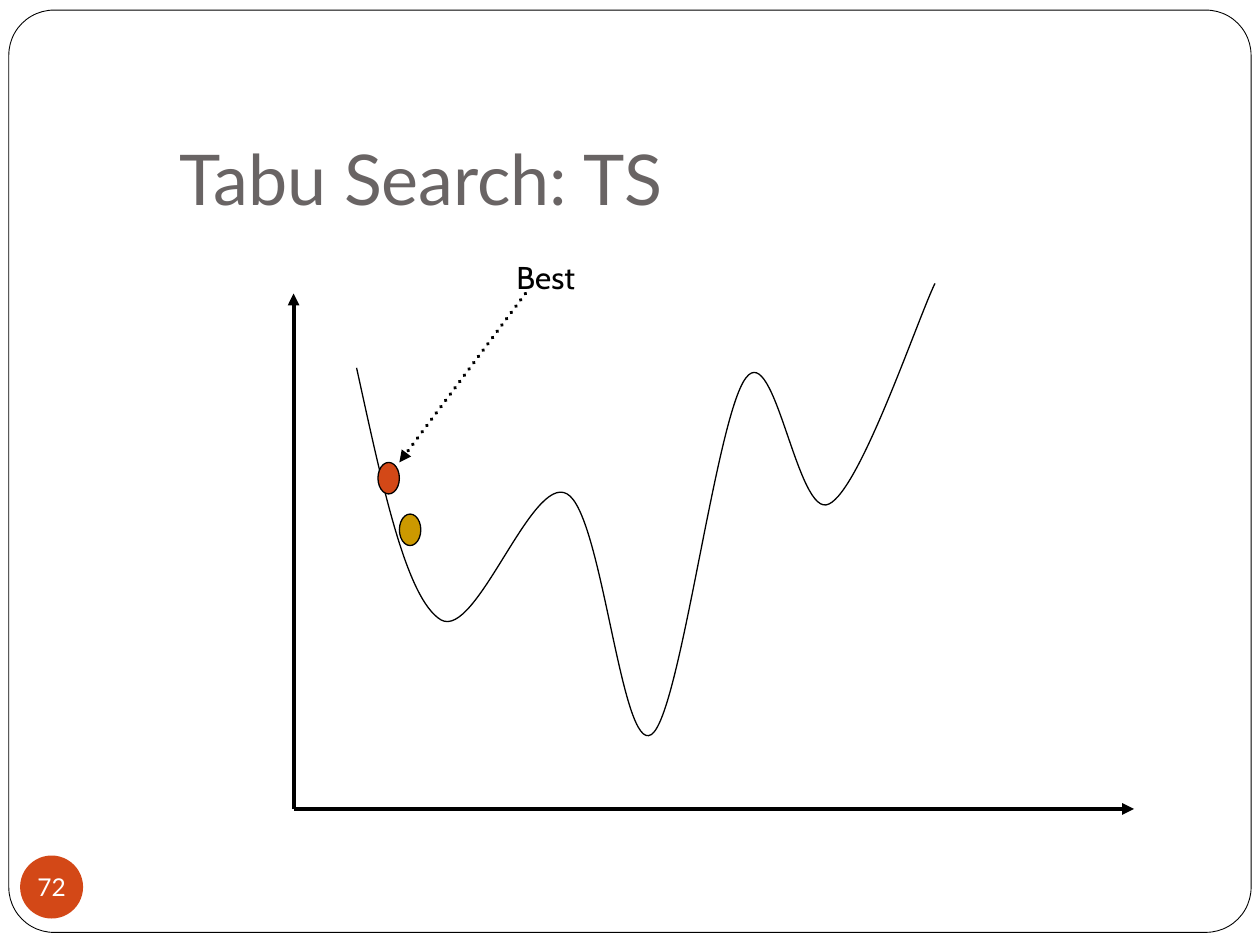
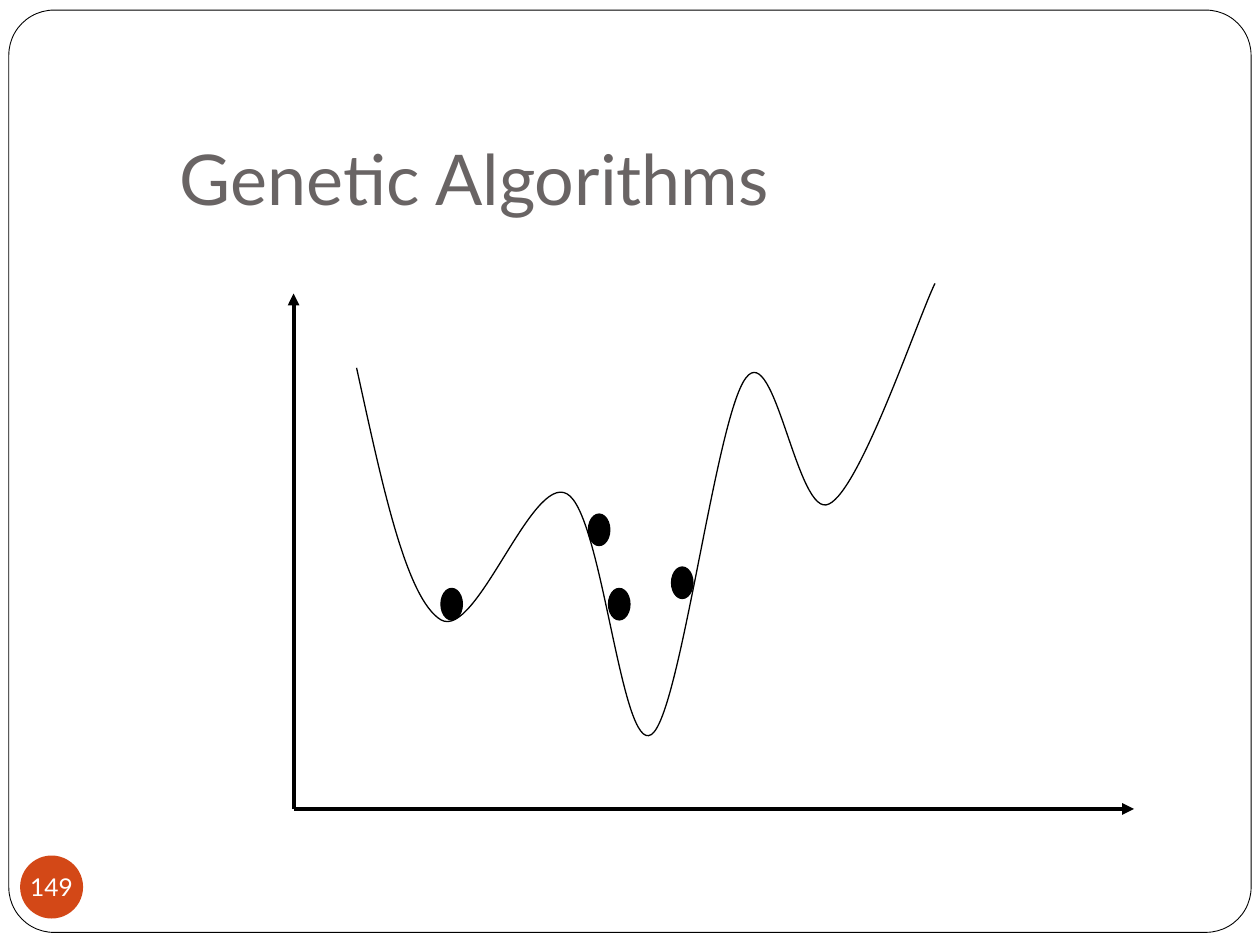
import dataclasses

import lxml.etree
import pptx
import pptx.dml.color
import pptx.enum.dml
import pptx.enum.shapes
import pptx.enum.text
import pptx.oxml.ns
import pptx.util

Inches = pptx.util.Inches
Shapes = pptx.enum.shapes.MSO_SHAPE
Anchor = pptx.enum.text.MSO_ANCHOR
Align = pptx.enum.text.PP_ALIGN
qn = pptx.oxml.ns.qn


@dataclasses.dataclass(frozen=True)
class Theme:
    paper: str = "FFFFFF"
    ink: str = "000000"
    title: str = "696464"
    accent: str = "D34817"
    neighbour: str = "CC9900"
    heading_font: str = "Lato"
    label_font: str = "Cabin"
    title_size: float = 40
    label_size: float = 18
    number_size: float = 14
    frame_line: float = 0.5
    thin_line: float = 0.75
    thick_line: float = 2.25


@dataclasses.dataclass(frozen=True)
class Box:
    left: float
    top: float
    width: float
    height: float

    def inside(self, left, top, width, height):
        return Box(self.left + left, self.top + top, width, height)

    def point(self, across, down):
        return Inches(self.left + across), Inches(self.top + down)

    def lengths(self):
        return [Inches(value) for value in dataclasses.astuple(self)]


THEME = Theme()
PAGE = Box(0, 0, 10, 7.5)
FRAME = PAGE.inside(0.07, 0.08, 9.86, 7.32)
TITLE = PAGE.inside(1.33, 0.94, 8.52, 0.9)
BADGE = PAGE.inside(0.16, 6.79, 0.5, 0.5)
PLOT = PAGE.inside(2.33, 2, 6.67, 4.42)

AXIS_TOP = 0.33
DOT_SIZE = (0.17, 0.25)
CURVE_START = (0.5, 0.92)
CURVE_CONTROLS = [
    (0.7, 1.83), (0.89, 2.75), (1.17, 2.92),
    (1.45, 3.08), (1.89, 1.76), (2.17, 1.92),
    (2.45, 2.07), (2.6, 3.99), (2.84, 3.83),
    (3.07, 3.68), (3.35, 1.31), (3.59, 1),
    (3.82, 0.69), (4, 2.13), (4.25, 2),
    (4.5, 1.88), (4.95, 0.54), (5.09, 0.25),
]
POPULATION = [(2.34, 2.08), (1.17, 2.67), (2.5, 2.67), (3, 2.5)]


def colour(value):
    return pptx.dml.color.RGBColor.from_string(value)


def set_line(line, width):
    line.color.rgb = colour(THEME.ink)
    line.width = pptx.util.Pt(width)


def add_filled_shape(page, kind, box, fill, line_width=None):
    shape = page.shapes.add_shape(kind, *box.lengths())
    shape.shadow.inherit = False
    shape.fill.solid()
    shape.fill.fore_color.rgb = colour(fill)
    if line_width is None:
        shape.line.fill.background()
    else:
        set_line(shape.line, line_width)
    return shape


def write(frame, text, font, size, text_colour, anchor=Anchor.TOP, align=Align.LEFT):
    frame.vertical_anchor = anchor
    para = frame.paragraphs[0]
    para.alignment = align
    span = para.add_run()
    span.text = text
    span.font.name = font
    span.font.size = pptx.util.Pt(size)
    span.font.color.rgb = colour(text_colour)


def add_text_box(page, box, bottom_inset):
    frame = page.shapes.add_textbox(*box.lengths()).text_frame
    frame.word_wrap = True
    frame.margin_bottom = Inches(bottom_inset)
    return frame


def add_arrow(page, start, end, dotted=False):
    straight = pptx.enum.shapes.MSO_CONNECTOR.STRAIGHT
    arrow = page.shapes.add_connector(straight, *start, *end)
    set_line(arrow.line, THEME.thick_line)
    outline = arrow._element.spPr.find(qn("a:ln"))
    if dotted:
        arrow.line.dash_style = pptx.enum.dml.MSO_LINE.ROUND_DOT
        outline.set("cap", "rnd")
    lxml.etree.SubElement(outline, qn("a:tailEnd")).set("type", "triangle")
    lxml.etree.SubElement(arrow._element.spPr, qn("a:effectLst"))


def add_frame(page, box):
    frame = add_filled_shape(page, Shapes.ROUNDED_RECTANGLE, box, THEME.paper, THEME.frame_line)
    frame.adjustments[0] = 0.049


def add_title(page, box, text):
    frame = add_text_box(page, box, 0.1)
    write(frame, text, THEME.heading_font, THEME.title_size, THEME.title, Anchor.BOTTOM)


def add_page_number(page, box, number):
    frame = add_filled_shape(page, Shapes.OVAL, box, THEME.accent).text_frame
    frame.margin_left = frame.margin_right = frame.margin_top = frame.margin_bottom = 0
    frame.word_wrap = False
    write(frame, str(number), THEME.heading_font, THEME.number_size, THEME.paper,
          Anchor.MIDDLE, Align.CENTER)


def bend_segments(shape):
    segments = list(shape._element.iter(qn("a:lnTo")))
    for first in range(0, len(segments), 3):
        bend = lxml.etree.Element(qn("a:cubicBezTo"))
        segments[first].addprevious(bend)
        for segment in segments[first:first + 3]:
            bend.append(segment[0])
            segment.getparent().remove(segment)


def add_curve(page, box):
    builder = page.shapes.build_freeform(*box.point(*CURVE_START))
    builder.add_line_segments([box.point(*place) for place in CURVE_CONTROLS], close=False)
    curve = builder.convert_to_shape()
    bend_segments(curve)
    curve.shadow.inherit = False
    curve.fill.background()
    set_line(curve.line, THEME.thin_line)


def add_landscape(page, box):
    origin = box.point(0, box.height)
    add_arrow(page, origin, box.point(0, AXIS_TOP))
    add_arrow(page, origin, box.point(box.width, box.height))
    add_curve(page, box)


def add_solution(page, box, place, fill):
    add_filled_shape(page, Shapes.OVAL, box.inside(*place, *DOT_SIZE), fill, THEME.thin_line)


def add_best_label(page, box):
    frame = add_text_box(page, box.inside(1.67, 0, 1.17, 0.4), 0.05)
    write(frame, "Best", THEME.label_font, THEME.label_size, THEME.ink)
    add_arrow(page, box.point(1.84, 0.33), box.point(0.84, 1.67), dotted=True)


def add_search_page(deck, title, number):
    page = deck.slides.add_slide(deck.slide_layouts[6])
    add_frame(page, FRAME)
    add_title(page, TITLE, title)
    add_page_number(page, BADGE, number)
    add_landscape(page, PLOT)
    return page


def add_tabu_page(deck):
    page = add_search_page(deck, "Tabu Search: TS", 72)
    add_solution(page, PLOT, (0.84, 2.08), THEME.neighbour)
    add_best_label(page, PLOT)
    add_solution(page, PLOT, (0.67, 1.67), THEME.accent)


def add_genetic_page(deck):
    page = add_search_page(deck, "Genetic Algorithms", 149)
    for place in POPULATION:
        add_solution(page, PLOT, place, THEME.ink)


def main():
    deck = pptx.Presentation()
    deck.slide_width = Inches(PAGE.width)
    deck.slide_height = Inches(PAGE.height)
    add_tabu_page(deck)
    add_genetic_page(deck)
    deck.save("out.pptx")


if __name__ == "__main__":
    main()
